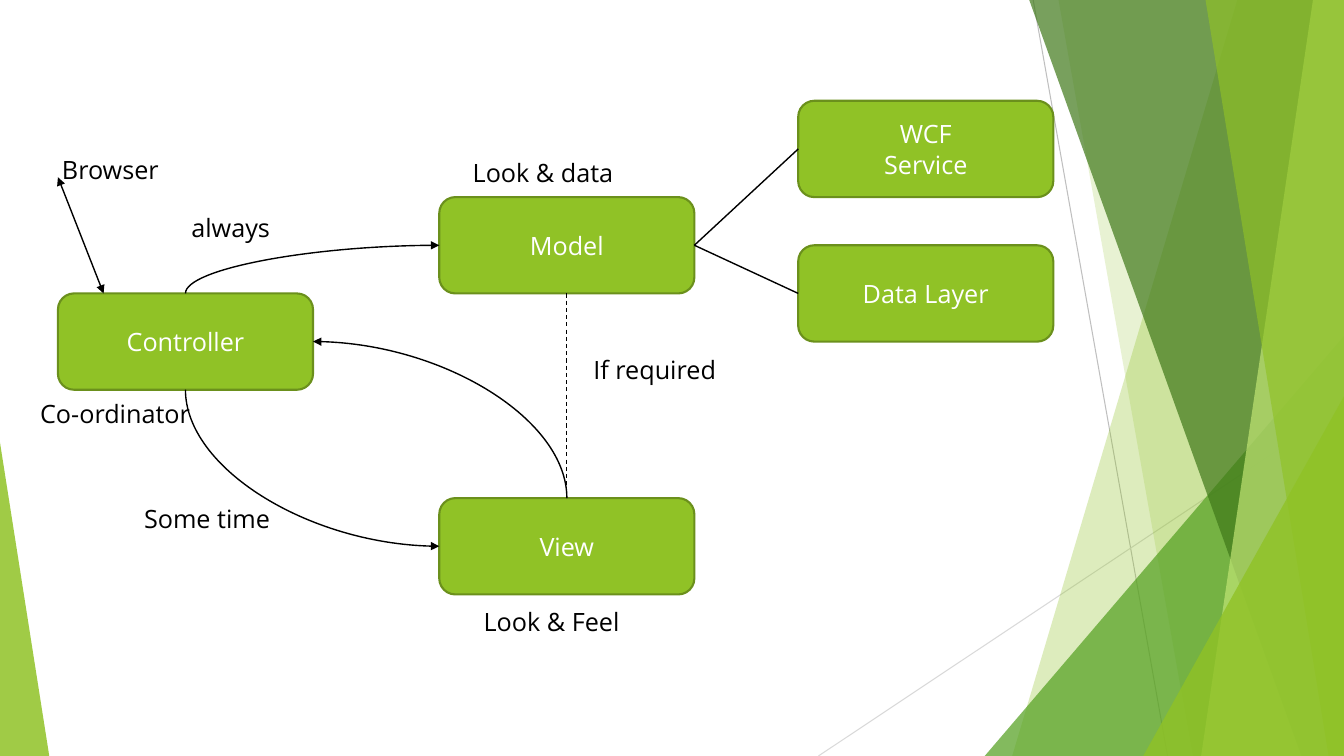
from lxml import etree
from pptx import Presentation
from pptx import util as u
from pptx.dml.color import RGBColor
from pptx.enum import dml, shapes, text
from pptx.oxml.ns import qn

Pt = u.Pt
COLORS = {
    "lime": "90C226", "green": "54A021", "forest": "3F7819", "pale": "C0E474",
    "border": "6B901C", "black": "000000", "white": "FFFFFF",
    "gray": "BFBFBF", "silver": "D9D9D9",
}
WIDTH, HEIGHT = 960, 540
BOX_WIDTH, BOX_HEIGHT = 182.2, 68.8
TOP, LEFT, BOTTOM, RIGHT = range(4)


class DiagramSlide:
    font_name = "Open Sans"
    font_size = 18

    def __init__(self, presentation):
        self.slide = presentation.slides.add_slide(presentation.slide_layouts[6])
        self.shapes = self.slide.shapes

    def color(self, name):
        return RGBColor.from_string(COLORS[name])

    def fill_text(self, frame, lines, color, align):
        for index, line in enumerate(lines):
            paragraph = frame.paragraphs[0] if index == 0 else frame.add_paragraph()
            paragraph.alignment = align
            run = paragraph.add_run()
            run.text = line
            run.font.name = self.font_name
            run.font.size = Pt(self.font_size)
            run.font.color.rgb = self.color(color)

    def paint(self, shape, color, opacity):
        shape.shadow.inherit = False
        shape.fill.solid()
        shape.fill.fore_color.rgb = self.color(color)
        shape.line.fill.background()
        fill_color = shape._element.spPr.find(qn("a:solidFill"))[0]
        etree.SubElement(fill_color, qn("a:alpha"), val=str(opacity * 1000))

    def band(self, top_x, bottom_x, color, opacity):
        """Band from a slanted left edge to the right edge of the slide."""
        top = Pt(-0.6)
        builder = self.shapes.build_freeform(Pt(top_x), top, scale=1.0)
        builder.add_line_segments([
            (Pt(WIDTH), top), (Pt(WIDTH), Pt(HEIGHT)), (Pt(bottom_x), Pt(HEIGHT)),
        ], close=True)
        self.paint(builder.convert_to_shape(), color, opacity)

    def triangle(self, left, top, width, apex, color, opacity):
        """Triangle that stands on the bottom edge of the slide."""
        shape = self.shapes.add_shape(
            shapes.MSO_SHAPE.ISOSCELES_TRIANGLE,
            Pt(left), Pt(top), Pt(width), Pt(HEIGHT - top))
        shape.adjustments[0] = apex
        self.paint(shape, color, opacity)

    def box(self, left, top, *lines):
        shape = self.shapes.add_shape(
            shapes.MSO_SHAPE.ROUNDED_RECTANGLE,
            Pt(left), Pt(top), Pt(BOX_WIDTH), Pt(BOX_HEIGHT))
        shape.shadow.inherit = False
        shape.fill.solid()
        shape.fill.fore_color.rgb = self.color("lime")
        shape.line.color.rgb = self.color("border")
        shape.line.width = Pt(1.5)
        frame = shape.text_frame
        frame.word_wrap = True
        frame.vertical_anchor = text.MSO_ANCHOR.MIDDLE
        self.fill_text(frame, lines, "white", text.PP_ALIGN.CENTER)
        return shape

    def label(self, left, top, words, width=133):
        shape = self.shapes.add_textbox(Pt(left), Pt(top), Pt(width), Pt(29))
        frame = shape.text_frame
        frame.word_wrap = True
        frame.auto_size = text.MSO_AUTO_SIZE.SHAPE_TO_FIT_TEXT
        self.fill_text(frame, [words], "black", text.PP_ALIGN.LEFT)

    def finish_line(self, connector, color, width, arrows):
        connector.line.color.rgb = self.color(color)
        connector.line.width = Pt(width)
        properties = connector._element.spPr
        outline = properties.find(qn("a:ln"))
        for end in arrows:
            etree.SubElement(outline, qn("a:" + end), type="triangle")
        etree.SubElement(properties, qn("a:effectLst"))

    def line(self, begin, end, color="black", width=1, arrows=()):
        connector = self.shapes.add_connector(
            shapes.MSO_CONNECTOR.STRAIGHT, *map(Pt, begin + end))
        self.finish_line(connector, color, width, arrows)
        return connector

    def link(self, source, source_side, target, target_side, width=1, dashed=False):
        connector = self.line((0, 0), (0, 0), width=width)
        connector.begin_connect(source, source_side)
        connector.end_connect(target, target_side)
        if dashed:
            connector.line.dash_style = dml.MSO_LINE.DASH

    def curve(self, begin, end):
        """Quarter curve that leaves vertically and arrives horizontally."""
        (x1, y1), (x2, y2) = begin, end
        center_x, center_y = (x1 + x2) / 2, (y1 + y2) / 2
        half_x, half_y = (x2 - x1) / 2, (y2 - y1) / 2
        # The frame is laid out before its turn of 270 degrees
        connector = self.shapes.add_connector(
            shapes.MSO_CONNECTOR.CURVE,
            Pt(center_x + half_y), Pt(center_y - half_x),
            Pt(center_x - half_y), Pt(center_y + half_x))
        properties = connector._element.spPr
        properties.find(qn("a:xfrm")).set("rot", str(270 * 60000))
        properties.find(qn("a:prstGeom")).set("prst", "curvedConnector2")
        self.finish_line(connector, "black", 1, ["tailEnd"])


def side_point(shape, side):
    across, down = {TOP: (0.5, 0), LEFT: (0, 0.5), BOTTOM: (0.5, 1), RIGHT: (1, 0.5)}[side]
    return (shape.left.pt + across * shape.width.pt, shape.top.pt + down * shape.height.pt)


def main():
    presentation = Presentation()
    presentation.slide_width, presentation.slide_height = Pt(WIDTH), Pt(HEIGHT)
    diagram = DiagramSlide(presentation)

    # Background decoration
    diagram.line((738, 0), (834, HEIGHT), "gray", 0.75)
    diagram.line((WIDTH, 290), (584.6, HEIGHT), "silver", 0.75)
    diagram.band(884, 723, "lime", 30)
    diagram.band(756, 852, "lime", 20)
    diagram.triangle(703.4, 240, 256.6, 1, "green", 72)
    diagram.band(735, 929.6, "forest", 70)
    diagram.band(938, 858, "pale", 70)
    diagram.band(861, 949, "lime", 65)
    diagram.triangle(816.6, 283, 143.4, 1, "lime", 80)
    diagram.triangle(0, 316, 35.2, 0, "lime", 85)

    # Boxes, stepped down by half a box height
    rows = [72 + step * BOX_HEIGHT / 2 for step in range(5)]
    columns = [41.4, 313.8, 570.2]
    controller = diagram.box(columns[0], rows[4], "Controller")
    model = diagram.box(columns[1], rows[2], "Model")
    view = diagram.box(columns[1], 355.8, "View")
    service = diagram.box(columns[2], rows[0], "WCF", "Service")
    data_layer = diagram.box(columns[2], rows[3], "Data Layer")

    # Curved arrows
    for source, source_side, target, target_side in [
        (controller, BOTTOM, view, LEFT),
        (view, TOP, controller, RIGHT),
        (controller, TOP, model, LEFT),
    ]:
        diagram.curve(side_point(source, source_side), side_point(target, target_side))

    # Straight lines
    for target in (service, data_layer):
        diagram.link(model, RIGHT, target, LEFT)
    diagram.link(model, BOTTOM, view, TOP, width=0.75, dashed=True)
    diagram.line((74, rows[4]), (41.4, 126.6), arrows=["headEnd", "tailEnd"])

    # Labels
    diagram.label(37.2, 106.8, "Browser", width=94)
    for left, top, words in [
        (21.6, 281, "Co-ordinator"),
        (338.4, 429.4, "Look & Feel"),
        (330.6, 108.8, "Look & data"),
        (416.8, 249.4, "If required"),
        (95.8, 356, "Some time"),
        (129.6, 148, "always"),
    ]:
        diagram.label(left, top, words)

    presentation.save("out.pptx")


if __name__ == "__main__":
    main()
